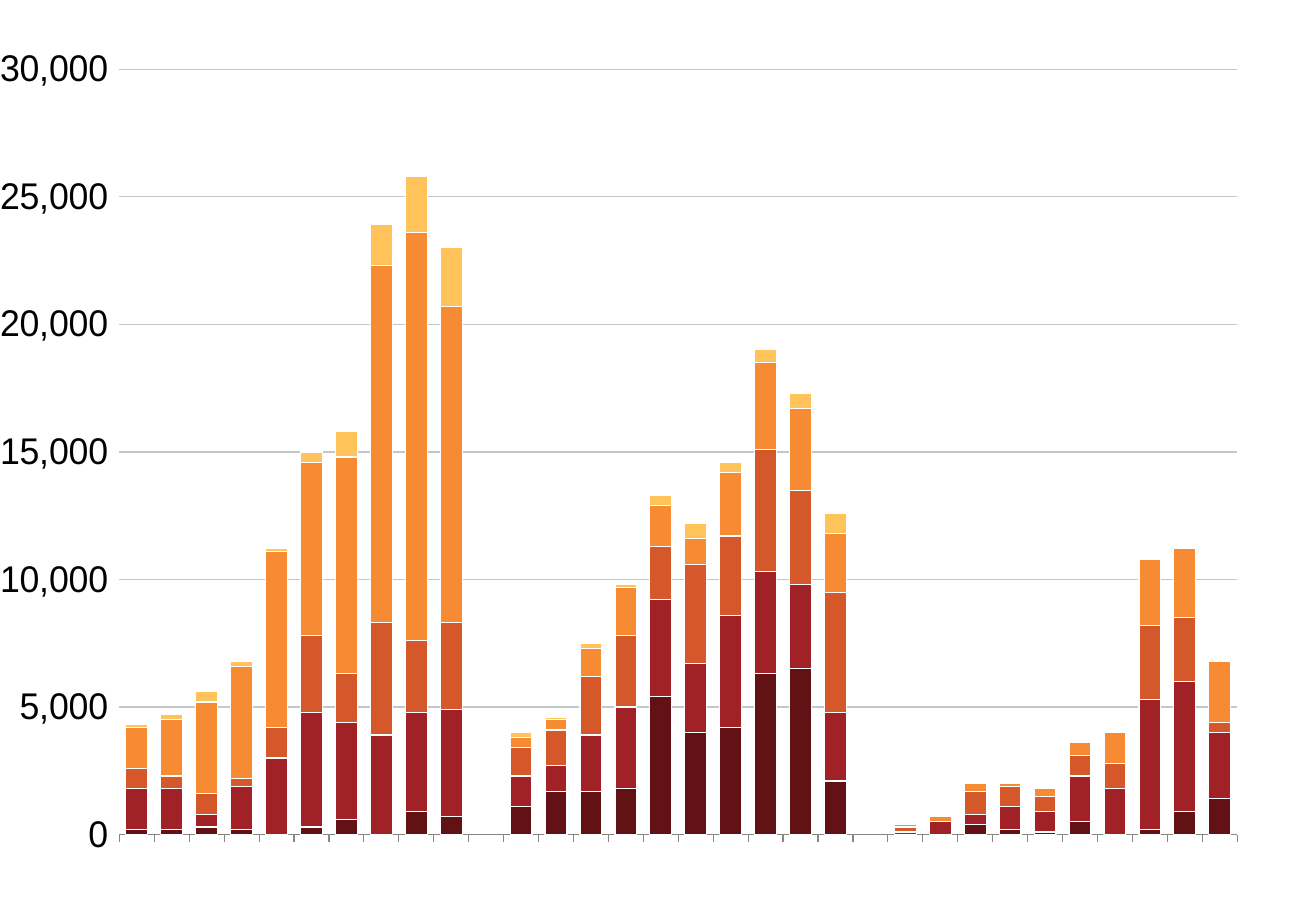
"""Builds a slide with one stacked column chart of three ten-column groups."""
import pptx
import pptx.chart.data
import pptx.dml.color
import pptx.enum.chart
import pptx.util
from lxml import etree

SERIES = {
    "Series 1": [
        [200, 200, 300, 200, 0, 300, 600, 0, 900, 700],
        [1100, 1700, 1700, 1800, 5400, 4000, 4200, 6300, 6500, 2100],
        [0, 0, 400, 200, 100, 500, 0, 200, 900, 1400],
    ],
    "Series 2": [
        [1600, 1600, 500, 1700, 3000, 4500, 3800, 3900, 3900, 4200],
        [1200, 1000, 2200, 3200, 3800, 2700, 4400, 4000, 3300, 2700],
        [100, 500, 400, 900, 800, 1800, 1800, 5100, 5100, 2600],
    ],
    "Series 3": [
        [800, 500, 800, 300, 1200, 3000, 1900, 4400, 2800, 3400],
        [1100, 1400, 2300, 2800, 2100, 3900, 3100, 4800, 3700, 4700],
        [200, 0, 900, 800, 600, 800, 1000, 2900, 2500, 400],
    ],
    "Series 4": [
        [1600, 2200, 3600, 4400, 6900, 6800, 8500, 14000, 16000, 12400],
        [400, 400, 1100, 1900, 1600, 1000, 2500, 3400, 3200, 2300],
        [100, 200, 300, 100, 300, 500, 1200, 2600, 2700, 2400],
    ],
    "Series 5": [
        [100, 200, 400, 200, 100, 400, 1000, 1600, 2200, 2300],
        [200, 100, 200, 100, 400, 600, 400, 500, 600, 800],
        [None] * 10,
    ],
}
THEME = {
    "font": "Arial",
    "chart_size": 18,
    "axis_size": 22,
    "line_width": 0.75,
    "text": "000000",
    "outline": "FFFFFF",
    "grid": "C3C7CB",
    "axis": "868686",
    "series": ["621214", "A02226", "D4582A", "F68B33", "FFC35A"],
}
SLIDE_SIZE = (780, 540)
CHART_BOX = (0, 26.64, 733.68, 513.36)
PLOT_AREA = {"x": 0.06, "y": 0.028, "w": 0.94, "h": 0.884}


def color(name):
    return pptx.dml.color.RGBColor.from_string(name)


def style_line(line, name):
    line.color.rgb = color(name)
    line.width = pptx.util.Pt(THEME["line_width"])


def join_groups(groups):
    joined = list(groups[0])
    for group in groups[1:]:
        joined += [None, *group]
    return joined


def place_plot(chart):
    namespace = "{http://schemas.openxmlformats.org/drawingml/2006/chart}"
    plot_area = chart.element.find(f".//{namespace}plotArea")
    for existing in plot_area.findall(f"{namespace}layout"):
        plot_area.remove(existing)
    layout = etree.Element(f"{namespace}layout")
    manual = etree.SubElement(layout, f"{namespace}manualLayout")
    settings = {"layoutTarget": "inner", "xMode": "edge", "yMode": "edge", **PLOT_AREA}
    for tag, value in settings.items():
        etree.SubElement(manual, f"{namespace}{tag}").set("val", str(value))
    plot_area.insert(0, layout)


def add_stacked_chart(slide):
    columns_by_series = {name: join_groups(groups) for name, groups in SERIES.items()}
    figures = pptx.chart.data.CategoryChartData(number_format="#,##0")
    figures.categories = [""] * len(columns_by_series["Series 1"])
    for name, amounts in columns_by_series.items():
        figures.add_series(name, amounts)
    chart = slide.shapes.add_chart(
        pptx.enum.chart.XL_CHART_TYPE.COLUMN_STACKED,
        *map(pptx.util.Pt, CHART_BOX), figures).chart
    chart.has_legend = False
    chart.has_title = False
    chart.font.name = THEME["font"]
    chart.font.size = pptx.util.Pt(THEME["chart_size"])
    chart.font.color.rgb = color(THEME["text"])

    columns = chart.plots[0]
    columns.gap_width = 60
    columns.overlap = 100
    columns.vary_by_categories = False
    for series, fill in zip(columns.series, THEME["series"]):
        series.format.fill.solid()
        series.format.fill.fore_color.rgb = color(fill)
        style_line(series.format.line, THEME["outline"])

    baseline, scale = chart.category_axis, chart.value_axis
    for axis in (baseline, scale):
        axis.major_tick_mark = pptx.enum.chart.XL_TICK_MARK.OUTSIDE
        axis.minor_tick_mark = pptx.enum.chart.XL_TICK_MARK.NONE
        axis.tick_labels.font.size = pptx.util.Pt(THEME["axis_size"])
    baseline.tick_label_position = pptx.enum.chart.XL_TICK_LABEL_POSITION.NONE
    baseline.has_major_gridlines = False
    style_line(baseline.format.line, THEME["axis"])
    scale.minimum_scale = 0
    scale.maximum_scale = 30000
    scale.major_unit = 5000
    scale.tick_labels.number_format = "#,##0"
    scale.tick_labels.number_format_is_linked = False
    scale.format.line.fill.background()
    scale.has_major_gridlines = True
    style_line(scale.major_gridlines.format.line, THEME["grid"])
    place_plot(chart)


def main():
    deck = pptx.Presentation()
    deck.slide_width, deck.slide_height = map(pptx.util.Pt, SLIDE_SIZE)
    add_stacked_chart(deck.slides.add_slide(deck.slide_layouts[6]))
    deck.save("out.pptx")


if __name__ == "__main__":
    main()
